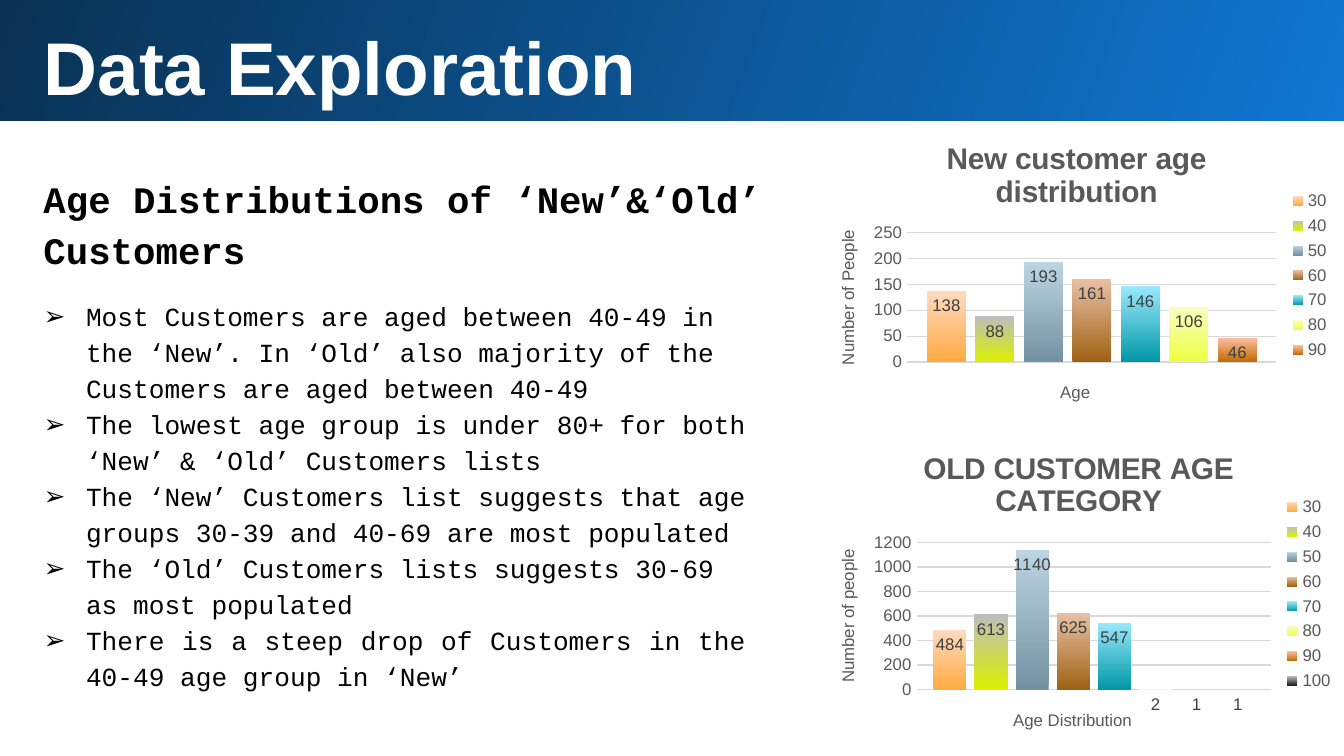
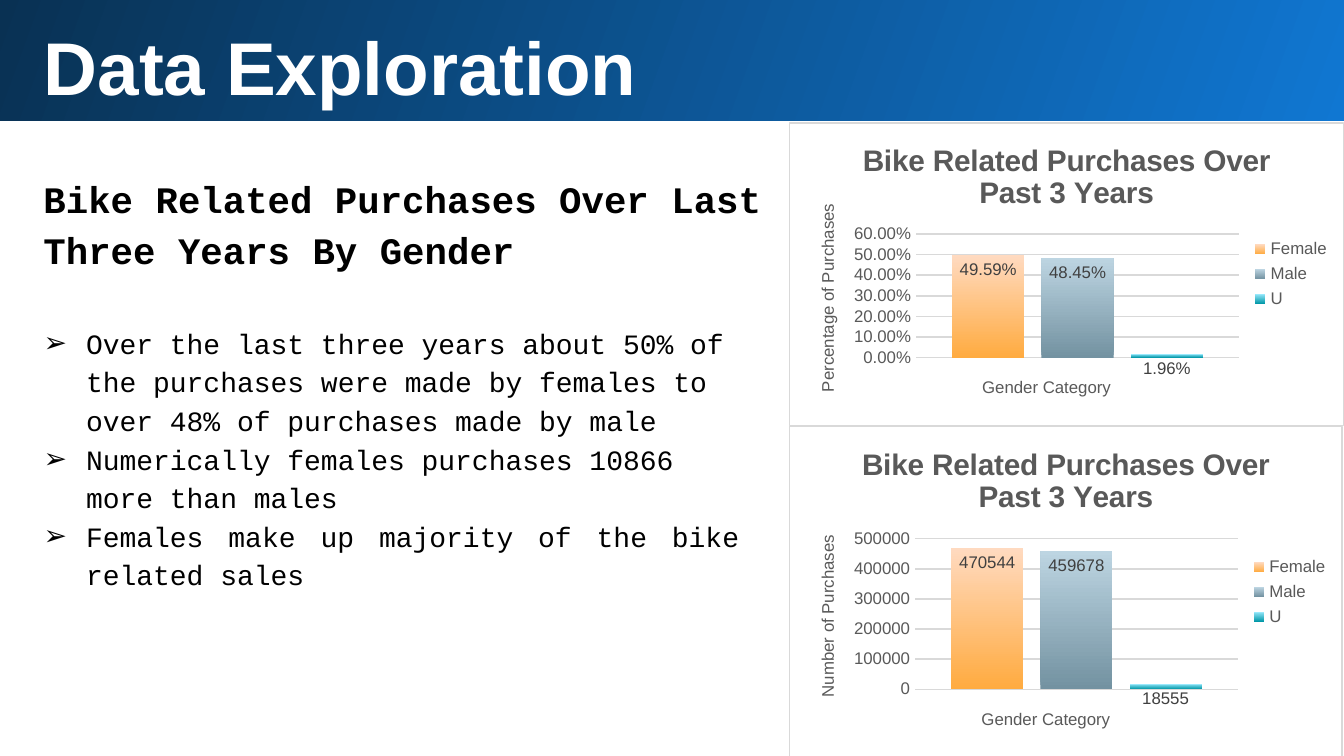
from lxml.etree import SubElement
from pptx import Presentation
from pptx.chart.data import CategoryChartData
from pptx.dml.color import RGBColor
from pptx.enum.chart import XL_CHART_TYPE as ChartType
from pptx.enum.chart import XL_LABEL_POSITION as LabelPosition
from pptx.enum.chart import XL_LEGEND_POSITION as LegendPosition
from pptx.enum.chart import XL_TICK_MARK as TickMark
from pptx.enum.shapes import MSO_SHAPE as Shape
from pptx.enum.text import MSO_ANCHOR as Anchor
from pptx.enum.text import MSO_AUTO_SIZE as AutoSize
from pptx.enum.text import PP_ALIGN as Align
from pptx.oxml import parse_xml
from pptx.oxml.ns import nsdecls, qn
from pptx.util import Pt

SCALE = 4572

WHITE = RGBColor(0xFF, 0xFF, 0xFF)
BLACK = RGBColor(0x00, 0x00, 0x00)
BRIGHT_BLUE = RGBColor(0x10, 0x77, 0xD2)
NAVY = RGBColor(0x09, 0x31, 0x53)
CHART_GREY = RGBColor(0x59, 0x59, 0x59)
LABEL_GREY = RGBColor(0x40, 0x40, 0x40)
GRID_GREY = RGBColor(0xD9, 0xD9, 0xD9)

ORANGE = RGBColor(0xFF, 0xAB, 0x40), RGBColor(0xFF, 0xDA, 0xC0)
LIME = RGBColor(0xDB, 0xF0, 0x00), RGBColor(0xBD, 0xBD, 0xBD)
STEEL = RGBColor(0x73, 0x92, 0xA1), RGBColor(0xBD, 0xD5, 0xE2)
BROWN = RGBColor(0x9F, 0x62, 0x14), RGBColor(0xE9, 0xC0, 0xA5)
TEAL = RGBColor(0x00, 0x97, 0xA7), RGBColor(0x99, 0xE9, 0xFC)
YELLOW = RGBColor(0xEE, 0xFF, 0x41), RGBColor(0xF7, 0xFF, 0xC0)
RUST = RGBColor(0xBF, 0x6B, 0x00), RGBColor(0xFF, 0xBB, 0xA0)
CHARCOAL = RGBColor(0x14, 0x14, 0x14), RGBColor(0xBD, 0xBD, 0xBD)

AGE_COLORS = ORANGE, LIME, STEEL, BROWN, TEAL, YELLOW, RUST, CHARCOAL
AGE_GROUPS = "30", "40", "50", "60", "70", "80", "90", "100"
GENDER_COLORS = ORANGE, STEEL, TEAL
GENDERS = "Female", "Male", "U"


def px(*lengths):
    return [length * SCALE for length in lengths]


def style_font(font, size, color, name="Arial", bold=False):
    font.size = Pt(size)
    font.color.rgb = color
    font.name = name
    font.bold = bold


def write(para, text, size=9, color=CHART_GREY, font="Arial", bold=False,
          align=None, spacing=None, bullet=None, indent=63):
    span = para.add_run()
    span.text = text
    style_font(span.font, size, color, font, bold)
    if align is not None:
        para.alignment = align
    if spacing:
        para.line_spacing = spacing
        para.space_before = Pt(0)
    if bullet:
        properties = para._p.get_or_add_pPr()
        properties.set("marL", str(indent * SCALE))
        properties.set("indent", str(-indent * SCALE))
        SubElement(properties, qn("a:buChar")).set("char", bullet)


def fill_gradient(fill, colors, angle):
    fill.gradient()
    fill.gradient_angle = angle
    for stop, color in zip(fill.gradient_stops, colors):
        stop.color.rgb = color


class Deck:
    heading_font = "Arial"
    text_font = "Courier New"
    left = 45

    def __init__(self, width, height):
        self.deck = Presentation()
        self.deck.slide_width, self.deck.slide_height = px(width, height)
        self.page = None

    def add_page(self):
        self.page = self.deck.slides.add_slide(self.deck.slide_layouts[1])
        self.add_band()

    def add_band(self):
        band = self.page.shapes.add_shape(Shape.RECTANGLE, *px(-4, -4, 2010, 184))
        band.shadow.inherit = False
        band.line.fill.background()
        fill_gradient(band.fill, (BRIGHT_BLUE, NAVY), 160)
        self.page.shapes.element.insert(2, band.element)

    def prepare(self, box, top, width, height):
        box.left, box.top, box.width, box.height = px(
            self.left, top, width, height)
        frame = box.text_frame
        frame.word_wrap = True
        frame.auto_size = AutoSize.SHAPE_TO_FIT_TEXT
        frame.vertical_anchor = Anchor.TOP
        (frame.margin_left, frame.margin_top,
         frame.margin_right, frame.margin_bottom) = px(20, 20, 20, 20)
        return frame

    def add_title(self, text, height):
        frame = self.prepare(self.page.shapes.title, 11, 1874, height)
        write(frame.paragraphs[0], text, size=40, color=WHITE,
              font=self.heading_font, bold=True, align=Align.LEFT)

    def add_heading(self, text, width):
        area = 232, width, 194
        box = self.page.shapes.add_textbox(*px(self.left, *area))
        frame = self.prepare(box, *area)
        write(frame.paragraphs[0], text, size=20, color=BLACK,
              font=self.text_font, bold=True, spacing=1.15)

    def add_list(self, items, area, size):
        frame = self.prepare(self.page.placeholders[1], *area)
        for index, item in enumerate(items):
            para = frame.add_paragraph() if index else frame.paragraphs[0]
            last = index == len(items) - 1
            write(para, item, size=size, color=BLACK, font=self.text_font,
                  align=Align.JUSTIFY if last else Align.LEFT,
                  spacing=1.15, bullet="➢")

    def add_columns(self, title, area, names, values, colors, value_title,
                    category_title, number_format="General", framed=False):
        data = CategoryChartData(number_format=number_format)
        data.categories = ["1"]
        for name, value in zip(names, values):
            data.add_series(name, [value])
        chart = self.page.shapes.add_chart(
            ChartType.COLUMN_CLUSTERED, *px(*area), data).chart
        style_font(chart.font, 10, BLACK)
        chart.has_title = True
        write(chart.chart_title.text_frame.paragraphs[0], title,
              size=16, bold=True)
        chart.chart_title.include_in_layout = False
        chart.has_legend = True
        chart.legend.position = LegendPosition.RIGHT
        chart.legend.include_in_layout = False
        style_font(chart.legend.font, 9, CHART_GREY)
        self.style_axes(chart, value_title, category_title, number_format)
        self.style_series(chart.plots[0], colors, number_format)
        if framed:
            self.frame_chart(chart)

    def style_axes(self, chart, value_title, category_title, number_format):
        axis = chart.value_axis
        for target, text in ((axis, value_title),
                             (chart.category_axis, category_title)):
            target.has_title = True
            write(target.axis_title.text_frame.paragraphs[0], text)
        chart.category_axis.visible = False
        axis.major_tick_mark = TickMark.NONE
        axis.minor_tick_mark = TickMark.NONE
        axis.format.line.fill.background()
        axis.has_major_gridlines = True
        grid = axis.major_gridlines.format.line
        grid.color.rgb = GRID_GREY
        grid.width = Pt(0.75)
        axis.tick_labels.number_format = number_format
        axis.tick_labels.number_format_is_linked = False
        style_font(axis.tick_labels.font, 9, CHART_GREY)

    def style_series(self, plot, colors, number_format):
        plot.gap_width = 100
        plot.overlap = -24
        plot.vary_by_categories = False
        for series, pair in zip(plot.series, colors):
            fill_gradient(series.format.fill, pair, 90)
            labels = series.data_labels
            labels.show_value = True
            labels.position = LabelPosition.INSIDE_END
            labels.number_format = number_format
            labels.number_format_is_linked = False
            style_font(labels.font, 9, LABEL_GREY)

    def frame_chart(self, chart):
        chart.element.find(qn("c:chart")).addnext(parse_xml(
            f'<c:spPr {nsdecls("c", "a")}>'
            f'<a:solidFill><a:srgbClr val="{WHITE}"/></a:solidFill>'
            f'<a:ln w="{Pt(0.75)}"><a:solidFill><a:srgbClr val="{GRID_GREY}"/>'
            '</a:solidFill></a:ln></c:spPr>'))

    def save(self):
        self.deck.save("out.pptx")


def add_age_page(deck):
    deck.add_page()
    deck.add_title("Data Exploration", 308)
    deck.add_heading("Age Distributions of ‘New’&‘Old’ Customers", 1198)
    deck.add_list([
        "Most Customers are aged between 40-49 in the ‘New’. In ‘Old’ also "
        "majority of the Customers are aged between 40-49",
        "The lowest age group is under 80+ for both ‘New’ & ‘Old’ Customers lists",
        "The ‘New’ Customers list suggests that age groups 30-39 and 40-69 "
        "are most populated",
        "The ‘Old’ Customers lists suggests 30-69 as most populated",
        "There is a steep drop of Customers in the 40-49 age group in ‘New’",
    ], (420, 1086, 636), 14)
    deck.add_columns("New customer age distribution", (1205, 180, 794, 460),
                     AGE_GROUPS, (138, 88, 193, 161, 146, 106, 46),
                     AGE_COLORS, "Number of People", "Age")
    deck.add_columns("OLD CUSTOMER AGE CATEGORY", (1205, 640, 800, 488),
                     AGE_GROUPS, (484, 613, 1140, 625, 547, 2, 1, 1),
                     AGE_COLORS, "Number of people", "Age Distribution")


def add_gender_page(deck):
    deck.add_page()
    deck.add_title("Data Exploration", 174)
    deck.add_heading("Bike Related Purchases Over Last Three Years By Gender", 1210)
    deck.add_list([
        "Over the last three years about 50% of the purchases were made by "
        "females to over 48% of purchases made by male",
        "Numerically females purchases 10866 more than males",
        "Females make up majority of the bike related sales",
    ], (458, 1076, 446), 15)
    title = "Bike Related Purchases Over Past 3 Years"
    deck.add_columns(title, (1174, 182, 826, 452), GENDERS,
                     (0.4959, 0.4845, 0.0196), GENDER_COLORS,
                     "Percentage of Purchases ", "Gender Category",
                     number_format="0.00%", framed=True)
    deck.add_columns(title, (1174, 634, 824, 494), GENDERS,
                     (470544, 459678, 18555), GENDER_COLORS,
                     "Number of Purchases ", "Gender Category", framed=True)


def main():
    deck = Deck(2000, 1125)
    add_age_page(deck)
    add_gender_page(deck)
    deck.save()


if __name__ == "__main__":
    main()
